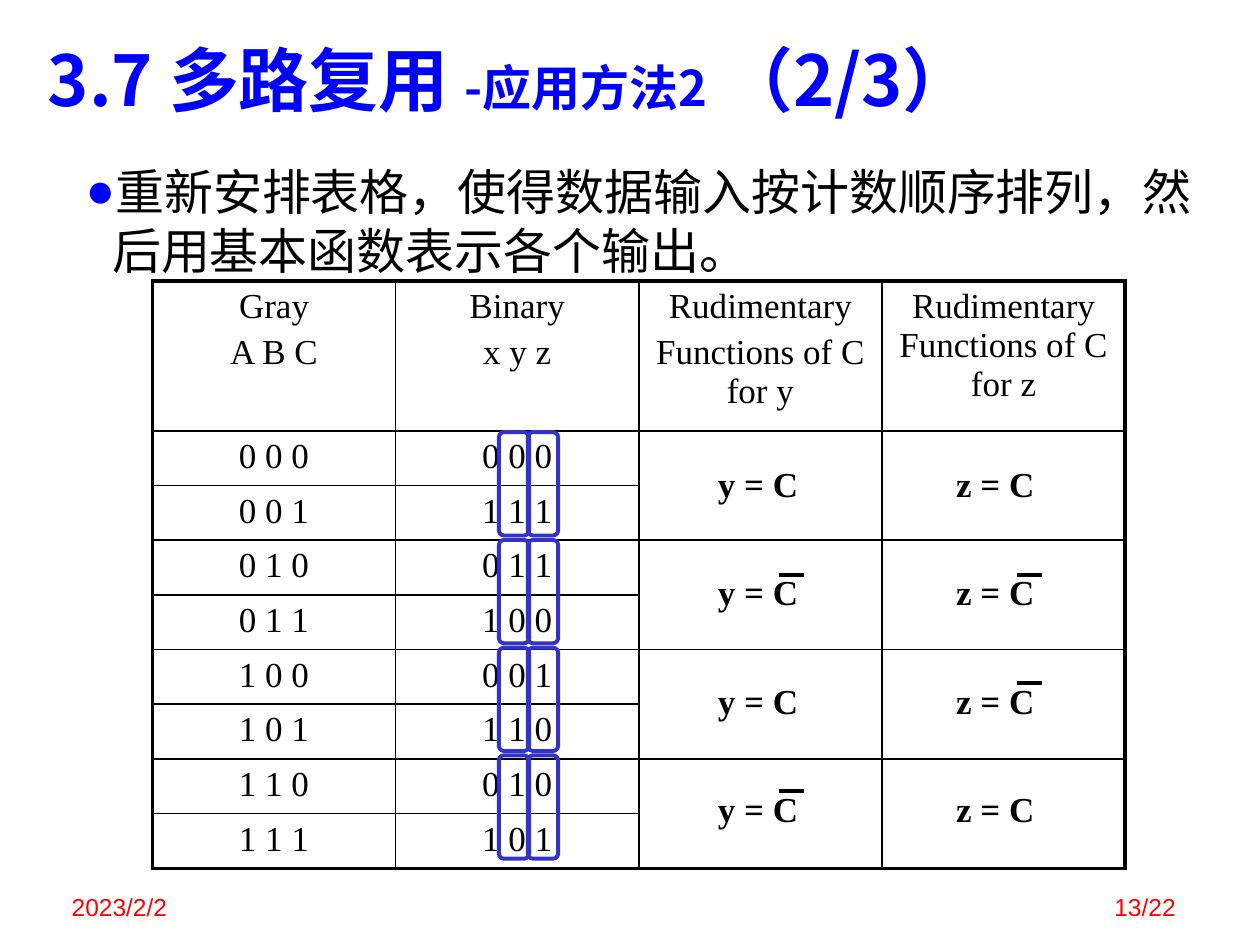
from dataclasses import dataclass

import lxml.etree
import pptx
import pptx.dml.color
import pptx.enum.shapes
import pptx.enum.text
import pptx.oxml.ns
import pptx.util

qn = pptx.oxml.ns.qn
Pt = pptx.util.Pt
ALIGN = pptx.enum.text.PP_ALIGN
ANCHOR = pptx.enum.text.MSO_ANCHOR

# The slide is a grid of 100 columns by 75 rows.
COLS, ROWS = 100, 75
UNIT = pptx.util.Inches(0.1)

HEX = {"blue": "0000FF", "ring": "3333CC", "ink": "000000", "red": "FF0000"}
SANS, SERIF, PLAIN = "Noto Sans CJK JP", "Times New Roman", "Arial"
THIN, THICK = 1, 2.25

TITLE = [("3.7 多路复用 ", 40), ("-应用方法2", 28), (" （2/3）", 40)]
POINT = "重新安排表格，使得数据输入按计数顺序排列，然后用基本函数表示各个输出。"
HEADS = [
    ["Gray", "A B C"],
    ["Binary", "x y z"],
    ["Rudimentary", "Functions of C for y"],
    ["Rudimentary Functions of C for z"],
]
CODES = ["000", "111", "011", "100", "001", "110", "010", "101"]
HEAD_H, ROW_H = 11.9, 4.34


@dataclass
class Box:
    x: float
    y: float
    w: float
    h: float

    def emu(self) -> list[int]:
        return [int(v * UNIT) for v in (self.x, self.y, self.w, self.h)]


@dataclass
class Style:
    face: str
    size: float
    tint: str = "ink"
    bold: bool = False


@dataclass
class Output:
    name: str
    ring_x: float
    label_x: float
    barred: tuple[bool, ...]


OUTPUTS = [
    Output("y", 39.6, 56, (False, True, False, True)),
    Output("z", 41.9, 74.9, (False, True, True, False)),
]
CELL = Style(SERIF, 20)
LABEL = Style(SERIF, 20, bold=True)
FOOT = Style(PLAIN, 14, "red")


def color(name: str) -> pptx.dml.color.RGBColor:
    return pptx.dml.color.RGBColor.from_string(HEX[name])


def apply(item, **values) -> None:
    for key, value in values.items():
        setattr(item, key, value)


def place(shape, box: Box) -> None:
    apply(shape, **dict(zip(("left", "top", "width", "height"), box.emu())))


def add_run(para, text: str, style: Style) -> None:
    run = para.add_run()
    run.text = text
    apply(run.font, name=style.face, size=Pt(style.size), bold=style.bold)
    run.font.color.rgb = color(style.tint)
    east = lxml.etree.SubElement(run.font._element, qn("a:ea"))
    east.set("typeface", style.face)


def add_text(slide, box: Box, text: str, style: Style, **form) -> None:
    frame = slide.shapes.add_textbox(*box.emu()).text_frame
    apply(frame, word_wrap=True, vertical_anchor=form.get("anchor", ANCHOR.TOP))
    para = frame.paragraphs[0]
    para.alignment = form.get("align", ALIGN.LEFT)
    add_run(para, text, style)


def set_title(slide) -> None:
    title = slide.shapes.title
    place(title, Box(2.8, 2.4, 95, 7.7))
    apply(title.text_frame, word_wrap=True, vertical_anchor=ANCHOR.MIDDLE,
          auto_size=pptx.enum.text.MSO_AUTO_SIZE.NONE)
    para = title.text_frame.paragraphs[0]
    para.alignment = ALIGN.LEFT
    for text, size in TITLE:
        add_run(para, text, Style(SANS, size, "blue", True))


def set_body(slide) -> None:
    body = slide.placeholders[1]
    place(body, Box(3.9, 12.3, 92.6, 10.4))
    apply(body.text_frame, word_wrap=True, vertical_anchor=ANCHOR.TOP,
          auto_size=pptx.enum.text.MSO_AUTO_SIZE.NONE)
    para = body.text_frame.paragraphs[0]
    apply(para, alignment=ALIGN.LEFT, line_spacing=Pt(33.7), space_before=Pt(0))
    add_run(para, POINT, Style(SANS, 28))
    props = para._p.get_or_add_pPr()
    props.set("marL", str(int(4 * UNIT)))
    props.set("indent", str(int(-2.1 * UNIT)))
    tint = lxml.etree.SubElement(props, qn("a:buClr"))
    lxml.etree.SubElement(tint, qn("a:srgbClr")).set("val", HEX["blue"])
    lxml.etree.SubElement(props, qn("a:buChar")).set("char", "●")


def set_edges(cell, widths: dict[str, float]) -> None:
    props = cell._tc.get_or_add_tcPr()
    for side, width in widths.items():
        edge = lxml.etree.SubElement(props, qn(f"a:ln{side}"))
        edge.set("w", str(int(Pt(width))))
        fill = lxml.etree.SubElement(edge, qn("a:solidFill"))
        lxml.etree.SubElement(fill, qn("a:srgbClr")).set("val", HEX["ink"])


def fill_cell(cell, lines: list[str]) -> None:
    frame = cell.text_frame
    for i, line in enumerate(lines):
        para = frame.add_paragraph() if i else frame.paragraphs[0]
        apply(para, alignment=ALIGN.CENTER, space_before=Pt(4))
        add_run(para, line, CELL)


def add_grid(slide) -> None:
    rows, cols = len(CODES) + 1, len(HEADS)
    box = Box(12.1, 22.3, 77.2, HEAD_H + ROW_H * len(CODES))
    table = slide.shapes.add_table(rows, cols, *box.emu()).table
    apply(table, first_row=False, horz_banding=False)
    for r, row in enumerate(table.rows):
        row.height = int((ROW_H if r else HEAD_H) * UNIT)
    for c in (2, 3):
        for r in range(1, rows, 2):
            table.cell(r, c).merge(table.cell(r + 1, c))
    codes = [(format(i, "03b"), code) for i, code in enumerate(CODES)]
    texts = [HEADS] + [[[" ".join(code)] for code in pair] for pair in codes]
    for r in range(rows):
        for c in range(cols):
            cell = table.cell(r, c)
            last = r + cell.span_height if cell.is_merge_origin else r + 1
            set_edges(cell, {
                "L": THIN if c else THICK,
                "R": THICK if c == cols - 1 else THIN,
                "T": THIN if r else THICK,
                "B": THICK if last == rows else THIN,
            })
            cell.fill.background()
            if c < len(texts[r]):
                fill_cell(cell, texts[r][c])


def add_ring(slide, box: Box) -> None:
    kind = pptx.enum.shapes.MSO_SHAPE.ROUNDED_RECTANGLE
    ring = slide.shapes.add_shape(kind, *box.emu())
    ring.shadow.inherit = False
    ring.fill.background()
    ring.line.color.rgb = color("ring")
    ring.line.width = Pt(THICK)


def add_bar(slide, x: float, y: float) -> None:
    """Draw the negation bar above a letter."""
    ends = [int(v * UNIT) for v in (x, y, x + 2, y)]
    bar = slide.shapes.add_connector(pptx.enum.shapes.MSO_CONNECTOR.STRAIGHT, *ends)
    bar.line.color.rgb = color("ink")
    bar.line.width = Pt(THICK)
    lxml.etree.SubElement(bar._element.spPr, qn("a:effectLst"))


def add_output(slide, out: Output) -> None:
    for i, barred in enumerate(out.barred):
        add_ring(slide, Box(out.ring_x, 34.3 + 8.55 * i, 2.4, 8.2))
        top = 36.2 + 8.6 * i
        add_text(slide, Box(out.label_x, top, 9, 4.3), f"{out.name} = C", LABEL)
        if barred:
            add_bar(slide, out.label_x + 5.8, top + 0.8)


def main() -> None:
    deck = pptx.Presentation()
    apply(deck, slide_width=COLS * UNIT, slide_height=ROWS * UNIT)
    slide = deck.slides.add_slide(deck.slide_layouts[1])
    set_title(slide)
    set_body(slide)
    add_grid(slide)
    for out in OUTPUTS:
        add_output(slide, out)
    feet = [(4.7, "2023/2/2", ALIGN.LEFT), (73.5, "13/22", ALIGN.RIGHT)]
    for x, text, align in feet:
        add_text(slide, Box(x, 68.6, 20.8, 5), text, FOOT,
                 align=align, anchor=ANCHOR.BOTTOM)
    deck.save("out.pptx")


if __name__ == "__main__":
    main()
